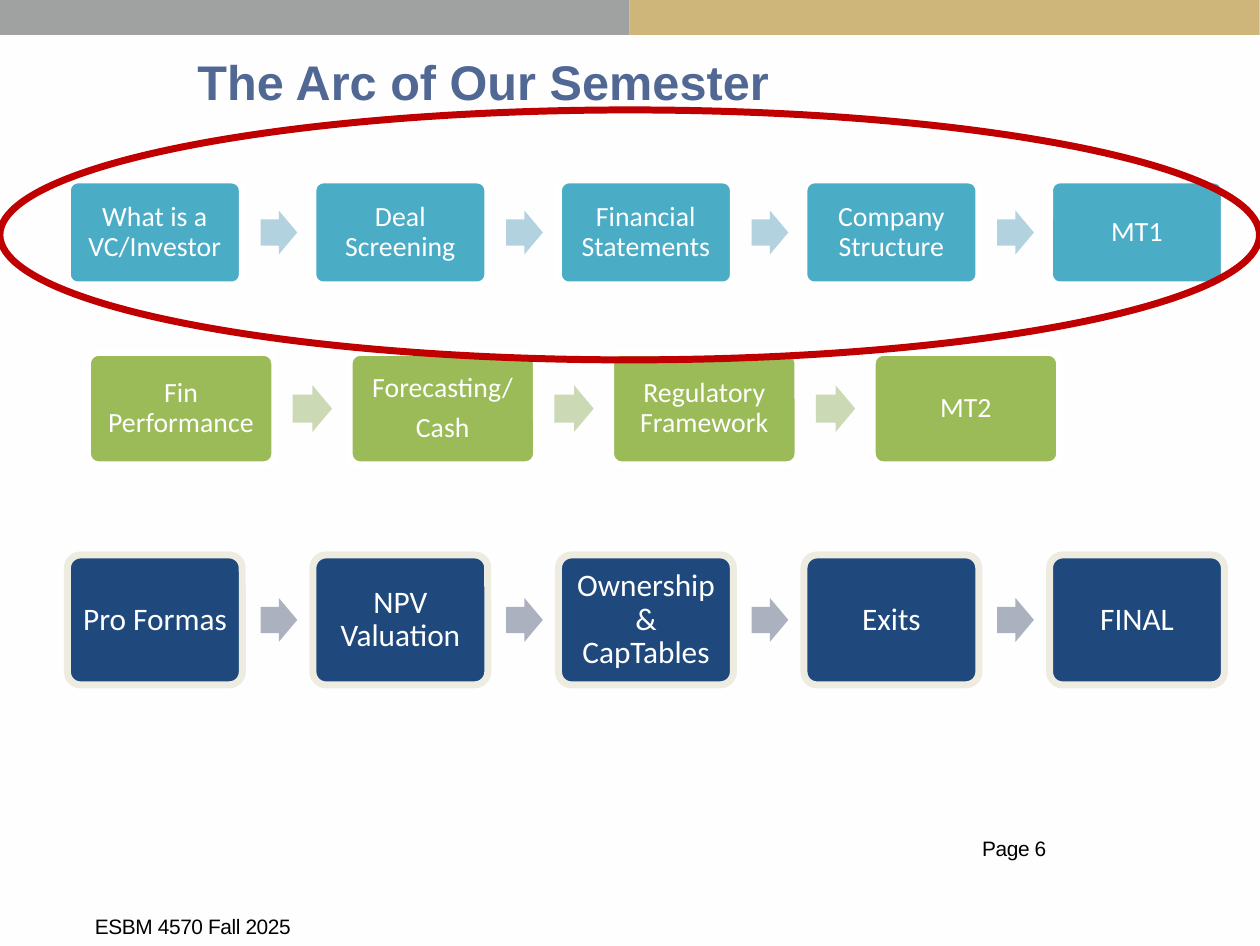
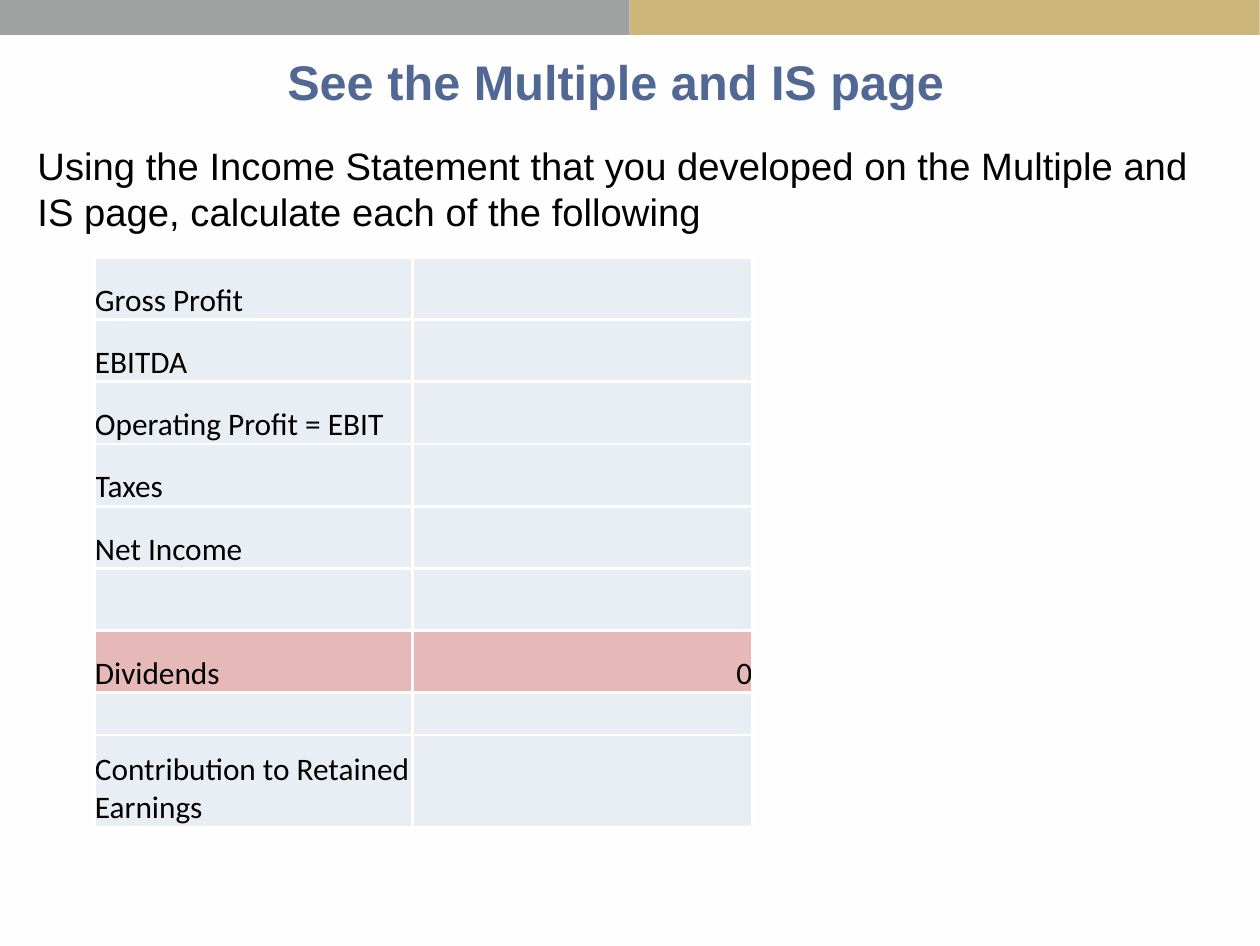
"""Build two course slides: the semester arc and an income statement exercise."""
import pptx
import pptx.dml.color
import pptx.enum.shapes
import pptx.enum.text
import pptx.oxml.ns
import pptx.util
from lxml import etree

SHAPE = pptx.enum.shapes.MSO_SHAPE
ALIGN = pptx.enum.text.PP_ALIGN
ANCHOR = pptx.enum.text.MSO_ANCHOR
Inches = pptx.util.Inches
Pt = pptx.util.Pt
qn = pptx.oxml.ns.qn

SLIDE_POINTS = (363, 272.5)
CONTENT_WIDTH = 5.04
BAND_HEIGHT = 0.14

THEME = {
    "page": "FEFEFE", "bands": ("A0A2A1", "CEB67B"), "ring": "C00000",
    "cell": "E9EDF4", "highlight": "E6B9B8", "grid": "FFFFFF",
    "title": {"size": 14, "name": "Arial", "color": "526894", "bold": True},
    "body": {"size": 11, "name": "Arial", "color": "000000"},
    "footer": {"size": 6, "name": "Arial", "color": "000000"},
    "step": {"size": 8, "name": "Calibri", "color": "FFFFFF"},
    "big_step": {"size": 9, "name": "Calibri", "color": "FFFFFF"},
    "table": {"size": 9, "name": "Calibri", "color": "000000"},
}

ARC_TITLE = ("The Arc of Our Semester", (0.79, 0.21, 3.45, 0.24))
FOOTERS = [
    ("ESBM 4570 Fall 2025", (0.37, 3.66, 0.95, 0.1)),
    ("Page 6", (3.92, 3.35, 0.38, 0.11)),
]
RING = (0, 0.44, CONTENT_WIDTH, 1)
PHASES = [
    {"steps": ["What is a VC/Investor", "Deal Screening", "Financial Statements",
               "Company Structure", "MT1"],
     "box": (0.27, 0.72, 0.7, 0.42), "last": 4.2, "margin": 0.03, "style": "step",
     "fill": "4BACC6", "line": "FFFFFF", "arrow": "B2D2DF"},
    {"steps": ["Fin Performance", "Forecasting/\nCash", "Regulatory Framework", "MT2"],
     "box": (0.35, 1.41, 0.75, 0.45), "last": 3.49, "margin": 0.03, "style": "step",
     "fill": "9BBB59", "line": "FFFFFF", "arrow": "CBDAB5"},
    {"steps": ["Pro Formas", "NPV Valuation", "Ownership & CapTables", "Exits", "FINAL"],
     "box": (0.27, 2.22, 0.7, 0.52), "last": 4.2, "margin": 0.04, "style": "big_step",
     "fill": "1F497D", "line": "EEECE1", "arrow": "ACB1BF"},
]

EXERCISE_TITLE = ("See the Multiple and IS page", (1.15, 0.21, 2.74, 0.24))
EXERCISE = ("Using the Income Statement that you developed on the Multiple and IS page, "
            "calculate each of the following", (0.15, 0.57, 4.75, 0.74))
TABLE_BOX = (0.38, 1.03, 2.63, 2.28)
COLUMNS = (1.27, 1.36)
ROWS = [
    ("Gross Profit", "", 0.25), ("EBITDA", "", 0.25),
    ("Operating Profit = EBIT", "", 0.25), ("Taxes", "", 0.25),
    ("Net Income", "", 0.25), ("", "", 0.25), ("Dividends", "0", 0.25),
    ("", "", 0.17), ("Contribution to Retained Earnings", "", 0.37),
]


def rgb(value):
    return pptx.dml.color.RGBColor.from_string(value)


def place(box):
    return [Inches(v) for v in box]


def set_margins(target, left, top, right, bottom):
    for side, value in zip(("left", "top", "right", "bottom"), (left, top, right, bottom)):
        setattr(target, f"margin_{side}", Inches(value))


def write(tf, text, style, spacing=None, **paragraph_format):
    look = THEME[style]
    for i, line in enumerate(text.split("\n")):
        p = tf.add_paragraph() if i else tf.paragraphs[0]
        for key, value in paragraph_format.items():
            setattr(p, key, value)
        if not line:
            p._p.get_or_add_endParaRPr().set("sz", str(look["size"] * 100))
            continue
        r = p.add_run()
        r.text = line
        for key, value in {"size": Pt(look["size"]), "name": look["name"],
                           "bold": look.get("bold", False)}.items():
            setattr(r.font, key, value)
        r.font.color.rgb = rgb(look["color"])
        if spacing:
            r._r.get_or_add_rPr().set("spc", str(spacing))


def add_text(s, text, box, style, indent=0, **options):
    tf = s.shapes.add_textbox(*place(box)).text_frame
    tf.word_wrap = True
    set_margins(tf, indent, 0, 0, 0)
    write(tf, text, style, **options)


def add_shape(s, kind, box, fill=None, line=None, adjustments=()):
    sp = s.shapes.add_shape(kind, *place(box))
    sp.shadow.inherit = False
    for i, value in enumerate(adjustments):
        sp.adjustments[i] = value
    if fill:
        sp.fill.solid()
        sp.fill.fore_color.rgb = rgb(fill)
    else:
        sp.fill.background()
    if line:
        sp.line.color.rgb = rgb(line)
        sp.line.width = Pt(2)
    else:
        sp.line.fill.background()
    return sp


def add_slide(prs, title):
    s = prs.slides.add_slide(prs.slide_layouts[6])
    s.background.fill.solid()
    s.background.fill.fore_color.rgb = rgb(THEME["page"])
    band = CONTENT_WIDTH / len(THEME["bands"])
    for i, color in enumerate(THEME["bands"]):
        add_shape(s, SHAPE.RECTANGLE, (i * band, 0, band, BAND_HEIGHT), color)
    add_text(s, *title, "title")
    return s


def add_phase(s, phase):
    left, top, width, height = phase["box"]
    size = THEME[phase["style"]]["size"]
    pitch = (phase["last"] - left) / (len(phase["steps"]) - 1)
    arrow_width, arrow_height = 0.21 * width, 0.25 * width
    for i, step in enumerate(phase["steps"]):
        x = left + i * pitch
        if i:
            add_shape(s, SHAPE.RIGHT_ARROW,
                      (x - 0.3 * width, top + (height - arrow_height) / 2,
                       arrow_width, arrow_height),
                      phase["arrow"], adjustments=(0.6, 0.5))
        sp = add_shape(s, SHAPE.ROUNDED_RECTANGLE, (x, top, width, height),
                       phase["fill"], phase["line"], (0.1,))
        tf = sp.text_frame
        tf.word_wrap = True
        tf.vertical_anchor = ANCHOR.MIDDLE
        set_margins(tf, *[phase["margin"]] * 4)
        write(tf, step, phase["style"], alignment=ALIGN.CENTER,
              line_spacing=0.9, space_after=Pt(0.35 * size))


def style_cell(cell, fill):
    tc_pr = cell._tc.get_or_add_tcPr()
    for side in ("lnL", "lnR", "lnT", "lnB"):
        ln = etree.SubElement(tc_pr, qn(f"a:{side}"), w=str(Pt(1)))
        solid = etree.SubElement(ln, qn("a:solidFill"))
        etree.SubElement(solid, qn("a:srgbClr"), val=THEME["grid"])
    cell.fill.solid()
    cell.fill.fore_color.rgb = rgb(fill)
    cell.vertical_anchor = ANCHOR.BOTTOM
    set_margins(cell, 0, 0.01, 0, 0)


def add_statement(s):
    table = s.shapes.add_table(len(ROWS), len(COLUMNS), *place(TABLE_BOX)).table
    table.first_row = table.horz_banding = False
    for column, width in zip(table.columns, COLUMNS):
        column.width = Inches(width)
    scale = TABLE_BOX[3] / sum(row[-1] for row in ROWS)
    for i, (label, amount, height) in enumerate(ROWS):
        table.rows[i].height = Inches(height * scale)
        fill = THEME["highlight" if amount else "cell"]
        for j, (text, align) in enumerate(((label, ALIGN.LEFT), (amount, ALIGN.RIGHT))):
            cell = table.cell(i, j)
            style_cell(cell, fill)
            write(cell.text_frame, text, "table", alignment=align)


def main():
    prs = pptx.Presentation()
    prs.slide_width, prs.slide_height = [Pt(v) for v in SLIDE_POINTS]

    s = add_slide(prs, ARC_TITLE)
    for text, box in FOOTERS:
        add_text(s, text, box, "footer", indent=0.01, spacing=-10, line_spacing=Pt(6.8))
    for phase in PHASES:
        add_phase(s, phase)
    add_shape(s, SHAPE.OVAL, RING, line=THEME["ring"])

    s = add_slide(prs, EXERCISE_TITLE)
    add_text(s, *EXERCISE, "body")
    add_statement(s)
    prs.save("out.pptx")


if __name__ == "__main__":
    main()
